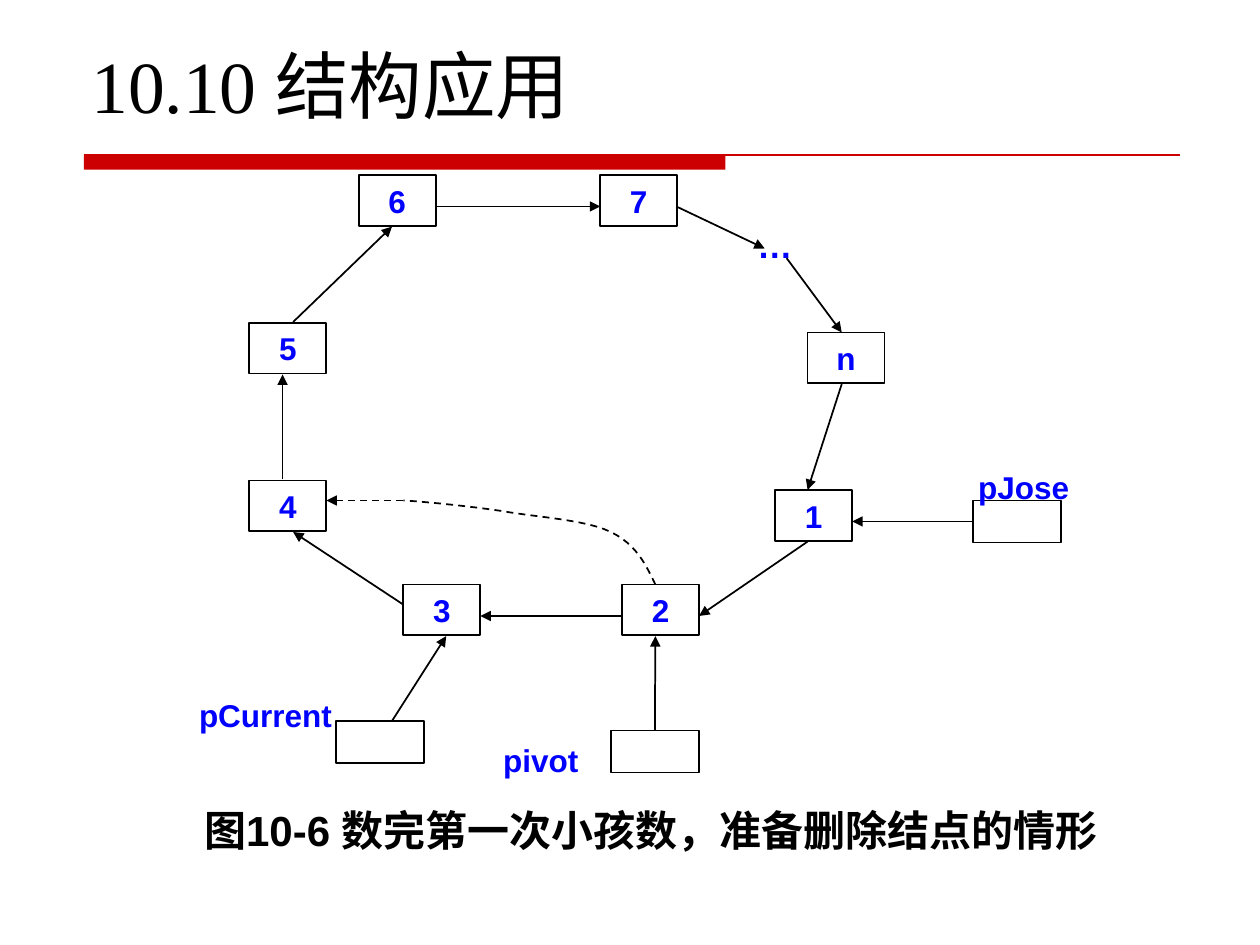
from lxml.etree import SubElement
from pptx import Presentation
from pptx.dml.color import RGBColor
from pptx.enum.dml import MSO_LINE
from pptx.enum.shapes import MSO_CONNECTOR, MSO_SHAPE
from pptx.enum.text import MSO_ANCHOR as ANCHOR, MSO_AUTO_SIZE, PP_ALIGN as ALIGN
from pptx.oxml.ns import qn
from pptx.util import Pt

RED, BLACK, BLUE = "CC0000", "000000", "0000FF"
NODE_SIZE = (44, 29)
POINTER_SIZE = (50.5, 24)
NODES = {
    "6": (205, 100), "7": (343, 100), "5": (142.5, 184.5), "4": (142.5, 274.5),
    "3": (230.5, 334), "2": (355.5, 334), "1": (443, 280), "n": (461.5, 190),
}
POINTERS = {
    "pCurrent": ((192, 412), (105, 394, 93.5, 29)),
    "pivot": ((349, 417.5), (264, 420, 90, 29)),
    "pJose": ((556, 286), (540, 264, 90, 29)),
}
ARROWS = [
    ((224, 412), (255, 363.5)),
    ((386.5, 118), (437, 142)),
    ((449.5, 147.5), (481, 190)),
    ((355.5, 352), (274.5, 352)),
    ((230.5, 345.5), (167.5, 304)),
    ((161.5, 274), (161.5, 214)),
    ((167.5, 184), (224, 129.5)),
    ((249, 118), (343, 118)),
    ((481, 219.5), (461.5, 280)),
    ((461.5, 309.5), (399.5, 352)),
]
CURVE = [
    ((374.5, 334), (369, 322.5), (363.5, 311), (349, 304)),
    ((349, 304), (335, 297), (306, 295.5), (286.5, 292)),
    ((286.5, 292), (266.5, 289), (240, 286.5), (230.5, 286)),
]


def color(value):
    """Turn a hex string into a colour."""
    return RGBColor.from_string(value)


def points(*values):
    """Turn numbers of points into lengths."""
    return [Pt(value) for value in values]


def write(shape, text, size=18, font="Arial", fill=BLUE, bold=True,
          align=ALIGN.CENTER, anchor=ANCHOR.TOP, wrap=True):
    """Put one formatted paragraph into a shape."""
    frame = shape.text_frame
    frame.auto_size = MSO_AUTO_SIZE.NONE
    frame.word_wrap = wrap
    frame.vertical_anchor = anchor
    paragraph = frame.paragraphs[0]
    paragraph.alignment = align
    run = paragraph.add_run()
    run.text = text
    run.font.size = Pt(size)
    run.font.name = font
    run.font.bold = bold
    run.font.color.rgb = color(fill)


def add_label(slide, text, box, **text_format):
    """Add a text box."""
    write(slide.shapes.add_textbox(*points(*box)), text, **text_format)


def set_line(shape, stroke=BLACK, width=1, dashed=False):
    """Set the outline of a shape or connector."""
    shape.line.color.rgb = color(stroke)
    shape.line.width = Pt(width)
    if dashed:
        shape.line.dash_style = MSO_LINE.DASH


def add_box(slide, position, size):
    """Add an outlined rectangle without fill."""
    shape = slide.shapes.add_shape(MSO_SHAPE.RECTANGLE, *points(*position, *size))
    shape.shadow.inherit = False
    shape.fill.background()
    set_line(shape)
    return shape


def add_line(slide, start, end, arrow=True, **line_format):
    """Add a straight connector, with an arrowhead at its end by default."""
    connector = slide.shapes.add_connector(MSO_CONNECTOR.STRAIGHT, *points(*start, *end))
    set_line(connector, **line_format)
    if arrow:
        SubElement(connector.line._get_or_add_ln(), qn("a:tailEnd"), type="triangle")
    SubElement(connector._element.spPr, qn("a:effectLst"))
    return connector


def bezier_point(curve, t):
    """Find the point of a cubic curve at parameter t."""
    weights = ((1 - t) ** 3, 3 * t * (1 - t) ** 2, 3 * t * t * (1 - t), t ** 3)
    return tuple(Pt(sum(w * point[axis] for w, point in zip(weights, curve)))
                 for axis in (0, 1))


def add_curve(slide, curves, steps=12):
    """Add a dashed open outline along joined cubic curves."""
    builder = slide.shapes.build_freeform(*points(*curves[0][0]))
    builder.add_line_segments(
        [bezier_point(curve, step / steps) for curve in curves
         for step in range(1, steps + 1)], close=False)
    shape = builder.convert_to_shape()
    shape.shadow.inherit = False
    shape.fill.background()
    set_line(shape, dashed=True)


def add_heading(slide):
    """Place the title and the red rule below it."""
    title = slide.shapes.title
    title.left, title.top, title.width, title.height = points(45, 24, 630, 53)
    write(title, "10.10 结构应用", size=42, font="Times New Roman", fill=BLACK,
          bold=False, align=ALIGN.LEFT, anchor=ANCHOR.BOTTOM)
    bar = add_box(slide, (48, 88.5), (366.5, 8.5))
    bar.fill.solid()
    bar.fill.fore_color.rgb = color(RED)
    bar.line.fill.background()
    add_line(slide, (48, 88.5), (674.5, 88.5), arrow=False, stroke=RED, width=0.75)


def add_ring(slide):
    """Draw the circular list with its pointers."""
    for name, position in NODES.items():
        write(add_box(slide, position, NODE_SIZE), name, anchor=ANCHOR.MIDDLE)
    pointers = {}
    for name, (position, label_box) in POINTERS.items():
        pointers[name] = add_box(slide, position, POINTER_SIZE)
        add_label(slide, name, label_box)
    add_label(slide, "…", (425.5, 124, 34.5, 31.5), size=20,
              anchor=ANCHOR.MIDDLE, wrap=False)
    for start, end in ARROWS:
        add_line(slide, start, end)
    add_line(slide, (374.5, 417.5), (374.5, 363.5)).begin_connect(pointers["pivot"], 0)
    add_line(slide, (556, 298), (487, 298)).begin_connect(pointers["pJose"], 1)
    add_curve(slide, CURVE)
    add_line(slide, CURVE[-1][-1], (186.5, 286), dashed=True)


def main():
    """Build and save the presentation."""
    presentation = Presentation()
    presentation.slide_width, presentation.slide_height = points(720, 540)
    slide = presentation.slides.add_slide(presentation.slide_layouts[5])
    add_heading(slide)
    add_ring(slide)
    add_label(slide, "图10-6 数完第一次小孩数，准备删除结点的情形",
              (102, 456, 540, 36), size=24, fill=BLACK)
    presentation.save("out.pptx")


if __name__ == "__main__":
    main()
